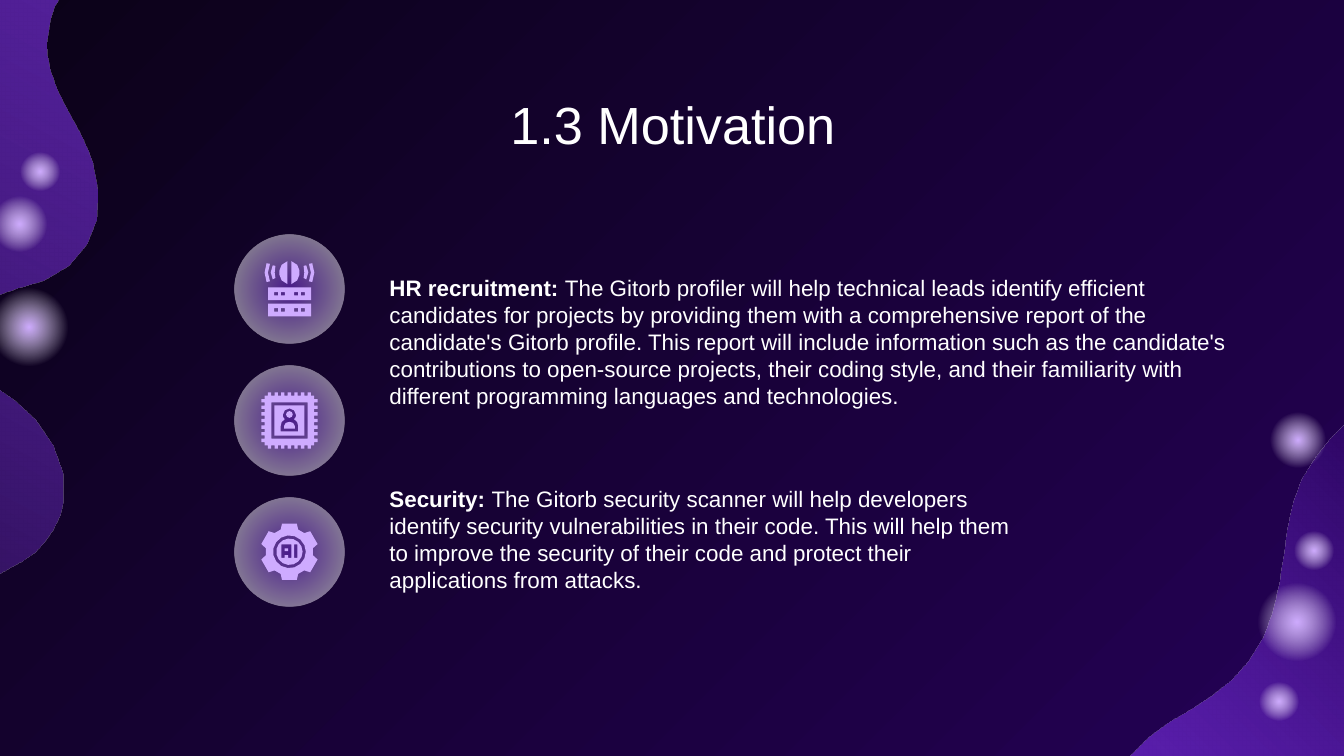
import itertools
import math

import lxml.etree
import pptx
import pptx.dml.color
import pptx.enum.text
import pptx.enum.shapes
import pptx.oxml
import pptx.oxml.ns
import pptx.util

NIGHT = pptx.dml.color.RGBColor(0x0B, 0x02, 0x18)
INDIGO = pptx.dml.color.RGBColor(0x24, 0x01, 0x55)
VIOLET = pptx.dml.color.RGBColor(0x81, 0x34, 0xEC)
LILAC = pptx.dml.color.RGBColor(0xCE, 0xAB, 0xFF)
WHITE = pptx.dml.color.RGBColor(0xFF, 0xFF, 0xFF)
FONT = "Arial"
Cm = pptx.util.Cm
GRID = Cm(0.0254)

deck = pptx.Presentation()
deck.slide_width = Cm(25.4)
deck.slide_height = Cm(14.29)
page = deck.slides.add_slide(deck.slide_layouts[3])


def set_gradient(properties, stops, angle=None):
    colors = "".join(
        f'<a:gs pos="{place * 1000}"><a:srgbClr val="{color}">'
        f'<a:alpha val="{alpha * 1000}"/></a:srgbClr></a:gs>'
        for place, color, alpha in stops)
    if angle is None:
        shade = ('<a:path path="circle"><a:fillToRect l="50000" t="50000" '
                 'r="50000" b="50000"/></a:path>')
    else:
        shade = f'<a:lin ang="{angle * 60000}" scaled="0"/>'
    gradient = pptx.oxml.parse_xml(
        f'<a:gradFill {pptx.oxml.ns.nsdecls("a")}>'
        f'<a:gsLst>{colors}</a:gsLst>{shade}</a:gradFill>')
    properties.replace(properties.find(pptx.oxml.ns.qn("a:solidFill")), gradient)


def draw_outline(contours, origin, turn=0, pieces=2):
    cosine = math.cos(math.radians(turn))
    sine = math.sin(math.radians(turn))
    builder = None
    for contour in contours:
        points = [contour[0]]
        for step in contour[1:]:
            if len(step) == 2:
                points.append(step)
                continue
            x0, y0 = points[-1]
            x1, y1, x2, y2, x3, y3 = step
            for t in (i / pieces for i in range(1, pieces + 1)):
                a, b, c, d = (1 - t) ** 3, 3 * t * (1 - t) ** 2, 3 * t * t * (1 - t), t ** 3
                points.append((a * x0 + b * x1 + c * x2 + d * x3,
                               a * y0 + b * y1 + c * y2 + d * y3))
        placed = [(GRID * (origin[0] + x * cosine + y * sine),
                   GRID * (origin[1] + y * cosine - x * sine)) for x, y in points]
        if builder is None:
            builder = page.shapes.build_freeform(*placed[0], scale=1.0)
        else:
            builder.move_to(*placed[0])
        builder.add_line_segments(placed[1:], close=True)
    outline = builder.convert_to_shape()
    outline.rotation = turn
    outline.fill.solid()
    outline.fill.fore_color.rgb = LILAC
    return outline


page.background.fill.solid()
set_gradient(page.background._cSld.bg.bgPr, [(0, NIGHT, 100), (100, INDIGO, 100)], 45)

left_wave = [
    (60, -320), (57, -310, 54, -296, 55, -285), (57, -268, 66, -252, 74, -237),
    (80, -226, 86, -216, 89, -204), (98, -175, 93, -147, 71, -128),
    (50, -108, 16, -116, -4, -91), (-26, -63, 12, -42, 31, -28),
    (53, -12, 73, 20, 67, 48), (65, 62, 56, 76, 46, 85), (34, 95, 20, 99, 9, 108),
    (-15, 145), (-10, 191), (-63, 361), (-85, 375), (-282, -262), (86, -365)]
right_wave = [
    (119, 193), (120, 81), (128, -36), (126, -120), (116, -183),
    (97, -192, 61, -149, 52, -137), (34, -114, 32, -91, 28, -64),
    (24, -35, 20, -9, 2, 15), (-13, 35, -35, 47, -57, 60),
    (-78, 73, -95, 93, -107, 116), (-130, 186), (-38, 193)]
for wave, origin, turn, stops in [
        (left_wave, (-22, 325), 72.9, [(0, NIGHT, 100), (100, VIOLET, 70)]),
        (right_wave, (921, 481), 90, [(0, VIOLET, 70), (100, INDIGO, 100)])]:
    set_gradient(draw_outline([wave], origin, turn, 4)._element.spPr, stops, 225)

glow_stops = [(0, LILAC, 100), (57, WHITE, 0), (100, WHITE, 0)]
disc_stops = [(0, VIOLET, 49), (77, WHITE, 49), (100, WHITE, 49)]
glows = [(23.6, 10.85, 1.83), (24.38, 9.96, 0.91), (23.72, 12.8, 0.91), (23.88, 7.67, 1.3),
         (-0.28, 3.58, 1.3), (-0.36, 5.26, 1.83), (0.3, 2.79, 0.91)]
discs = [(4.44, 4.44 + 2.48 * row, 2.06) for row in range(3)]
for circles, stops in [(glows, glow_stops), (discs, disc_stops)]:
    for left, top, size in circles:
        circle = page.shapes.add_shape(pptx.enum.shapes.MSO_SHAPE.OVAL,
                                       Cm(left), Cm(top), Cm(size), Cm(size))
        circle.fill.solid()
        set_gradient(circle._element.spPr, stops)

server_center, chip_center, gear_center = (215.4, 215.4), (215.4, 313), (215.4, 410.6)

half_globe = [(1.5, -4), (5, -5, 7.5, -8, 7.5, -11), (7.5, -14),
              (7.5, -17, 5, -20, 1.5, -21)]
near_signal = [(12.5, -7.5), (14.5, -11, 14.5, -14.5, 12.5, -18), (10.5, -17.5),
               (11.2, -14, 11.2, -11, 10.5, -8.5)]
far_signal = [(17, -5.5), (19, -10, 19, -15, 17, -19.5), (14.5, -19),
              (16.5, -15, 16.5, -10, 14.5, -6)]
for part, side in itertools.product([half_globe, near_signal, far_signal], (1, -1)):
    mirrored = [tuple(value * (side if i % 2 == 0 else 1) for i, value in enumerate(step))
                for step in part]
    draw_outline([mirrored], server_center)
for top in (-1.5, 10.5):
    rack = [[(-16, top), (16, top), (16, top + 9.5), (-16, top + 9.5)]]
    for x in (-11.5, -6.5, 3.5, 8.5):
        rack.append([(x, top + 3.5), (x + 3, top + 3.5), (x + 3, top + 6), (x, top + 6)])
    draw_outline(rack, server_center)

rings = {radius: [(radius * math.cos(math.radians(angle)), radius * math.sin(math.radians(angle)))
                  for angle in range(0, 360, step)]
         for radius, step in [(2.5, 45), (9.8, 24), (12.2, 24)]}

chip_edge = []
for quarter in range(4):
    for x in range(7):
        pin = 2 * x - 6.5
        for corner in [(pin, -7.5), (pin, -8.5), (pin + 1, -8.5), (pin + 1, -7.5)]:
            point = complex(*corner) * 1j ** quarter * 2.46
            chip_edge.append((point.real, point.imag))
    point = complex(7.5, -7.5) * 1j ** quarter * 2.46
    chip_edge.append((point.real, point.imag))
frames = [[(-s, -s), (s, -s), (s, s), (-s, s)] for s in (13.5, 11.2)]
person_edge = [(6.5, 8), (-6.5, 8), (-6.5, 4), (-6.5, 2, -5.5, 0, -3.5, -1),
               (-4.5, -2, -5, -3, -5, -4), (-5, -7, -2.5, -9, 0, -9),
               (2.5, -9, 5, -7, 5, -4), (5, -3, 4.5, -2, 3.5, -1), (5.5, 0, 6.5, 2, 6.5, 4)]
head = [(x, y - 4.5) for x, y in rings[2.5]]
body = [(-4, 4), (-4, 6), (4, 6), (4, 4), (4, 2, 2, 1, 0, 1), (-2, 1, -4, 2, -4, 4)]
draw_outline([chip_edge, *frames, person_edge, head, body], chip_center)

gear_edge = []
for tooth in range(6):
    turn = complex(math.cos(tooth * math.pi / 3), math.sin(tooth * math.pi / 3))
    for x, y in [(-6.5, -16.5), (-5.5, -21), (5.5, -21), (6.5, -16.5)]:
        point = complex(x, y) * turn
        gear_edge.append((point.real, point.imag))
letter_a = [(1.5, 4.5), (-1, 4.5), (-1, 2.5), (-3.5, 2.5), (-3.5, 4.5), (-6, 4.5),
            (-6, -5.5), (1.5, -5.5)]
letter_hole = [(-3.5, -2.5), (-1, -2.5), (-1, -0.5), (-3.5, -0.5)]
letter_i = [(3.5, -5.5), (6, -5.5), (6, 4.5), (3.5, 4.5)]
draw_outline([gear_edge, rings[12.2], rings[9.8], letter_a, letter_hole, letter_i], gear_center)

for shape in page.shapes:
    if not shape.is_placeholder:
        shape.shadow.inherit = False
        shape.line.fill.background()

top_anchor = pptx.enum.text.MSO_ANCHOR.TOP
middle_anchor = pptx.enum.text.MSO_ANCHOR.MIDDLE
centered = pptx.enum.text.PP_ALIGN.CENTER
leftward = pptx.enum.text.PP_ALIGN.LEFT
texts = [
    ((2.01, 1.5, 21.41, 1.6), top_anchor, centered, 28, ["1.3 Motivation"]),
    ((7.11, 3.94, 16.61, 5.03), middle_anchor, leftward, 12, [
        "HR recruitment: ",
        "The Gitorb profiler will help technical leads identify efficient candidates for "
        "projects by providing them with a comprehensive report of the candidate's Gitorb "
        "profile. This report will include information such as the candidate's contributions "
        "to open-source projects, their coding style, and their familiarity with different "
        "programming languages and technologies."]),
    ((7.11, 8.56, 12.34, 3.25), middle_anchor, leftward, 12, [
        "Security: ",
        "The Gitorb security scanner will help developers identify security vulnerabilities "
        "in their code. This will help them to improve the security of their code and protect "
        "their applications from attacks."])]
for box, (place, anchor, align, size, wording) in zip(page.placeholders, texts):
    box.left, box.top, box.width, box.height = (Cm(length) for length in place)
    frame = box.text_frame
    frame.word_wrap = True
    frame.auto_size = pptx.enum.text.MSO_AUTO_SIZE.NONE
    frame.vertical_anchor = anchor
    frame.margin_left = frame.margin_right = frame.margin_top = frame.margin_bottom = Cm(0.25)
    para = frame.paragraphs[0]
    para.alignment = align
    para.space_before = pptx.util.Pt(0)
    settings = para._p.get_or_add_pPr()
    settings.set("marL", "0")
    settings.set("indent", "0")
    lxml.etree.SubElement(settings, pptx.oxml.ns.qn("a:buNone"))
    for position, words in enumerate(wording):
        span = para.add_run()
        span.text = words
        span.font.name = FONT
        span.font.size = pptx.util.Pt(size)
        span.font.bold = position < len(wording) - 1
        span.font.color.rgb = WHITE

deck.save("out.pptx")
